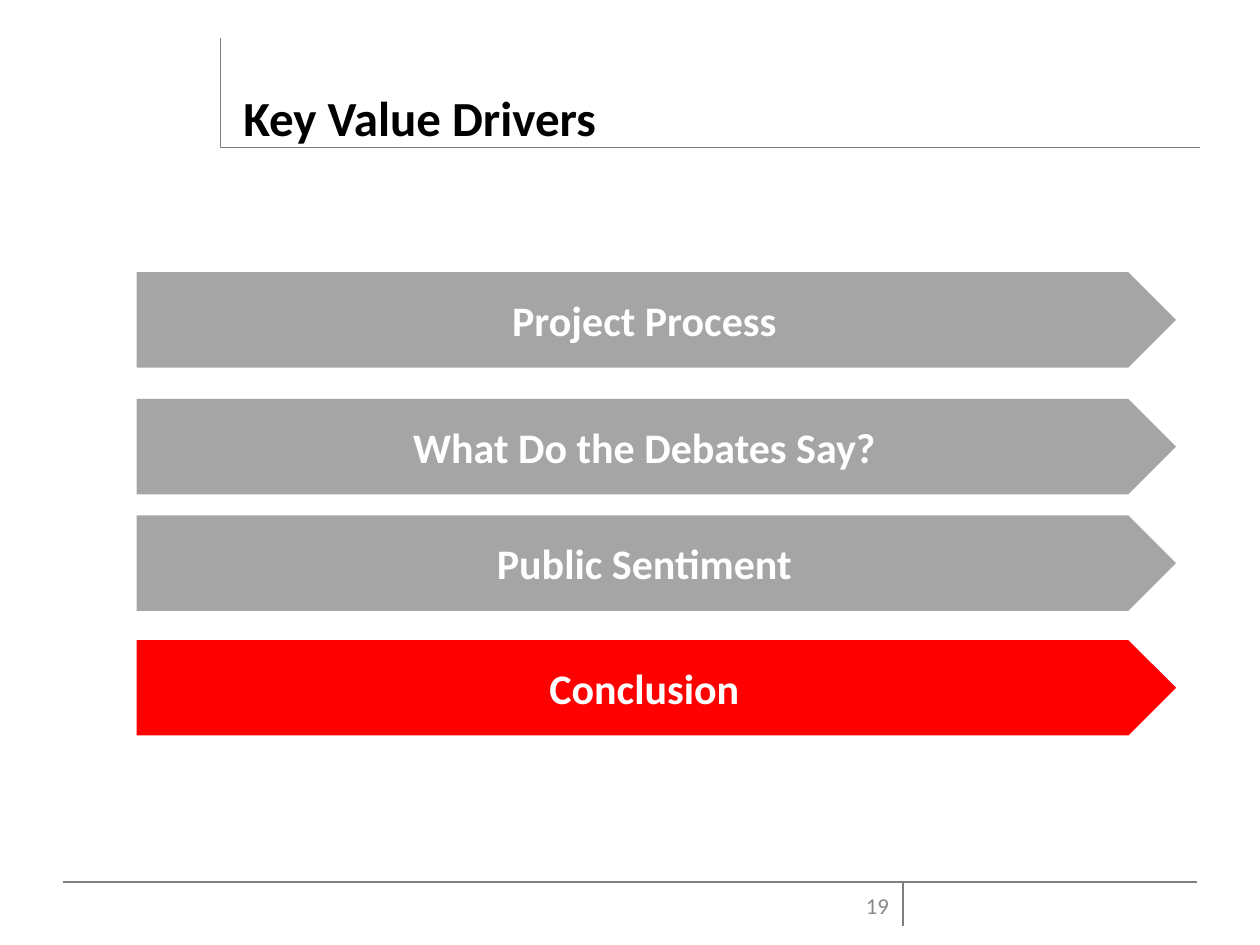
"""Build the Key Value Drivers agenda slide with its conclusion highlighted."""
from lxml import etree
from pptx import Presentation
from pptx.dml.color import RGBColor
from pptx.enum import shapes, text
from pptx.oxml.ns import qn
from pptx.util import Pt

HEADING = "Key Value Drivers"
PAGE_NUMBER = "19"
CURRENT = "Conclusion"
AGENDA = [
    ("Project Process", 155.5),
    ("What Do the Debates Say?", 228),
    ("Public Sentiment", 294.5),
    (CURRENT, 365.75),
]
RULES = [
    (126, 21.6, 126, 84.4),
    (126, 84.4, 685.5, 84.4),
    (36, 504, 684, 504),
    (516, 504, 516, 529),
]
ARROW_LEFT, ARROW_WIDTH, ARROW_HEIGHT = 78, 594, 54.5
THEME = {
    "font": "Calibri",
    "heading": "000000", "label": "FFFFFF", "number": "888888",
    "rule": "7F7F7F", "muted": "A5A5A5", "active": "FF0000",
    "heading_size": 28, "label_size": 24, "number_size": 13,
}


def color(role):
    return RGBColor.from_string(THEME[role])


def write(holder, wording, *, role, align, bold=True):
    frame = holder.text_frame
    frame.word_wrap = True
    frame.vertical_anchor = text.MSO_ANCHOR.MIDDLE
    line = frame.paragraphs[0]
    line.alignment = align
    run = line.add_run()
    run.text = wording
    run.font.name = THEME["font"]
    run.font.size = Pt(THEME[f"{role}_size"])
    run.font.bold = bold
    run.font.color.rgb = color(role)


def add_rule(slide, ends):
    rule = slide.shapes.add_connector(shapes.MSO_CONNECTOR.STRAIGHT, *map(Pt, ends))
    rule.line.color.rgb = color("rule")
    rule.line.width = Pt(0.75)
    etree.SubElement(rule._element.spPr, qn("a:effectLst"))


def add_arrow(slide, label, top):
    arrow = slide.shapes.add_shape(
        shapes.MSO_SHAPE.PENTAGON,
        *map(Pt, (ARROW_LEFT, top, ARROW_WIDTH, ARROW_HEIGHT)))
    arrow.shadow.inherit = False
    arrow.fill.solid()
    arrow.fill.fore_color.rgb = color("active" if label == CURRENT else "muted")
    arrow.line.fill.background()
    write(arrow, label, role="label", align=text.PP_ALIGN.CENTER)


def main():
    deck = Presentation()
    deck.slide_width, deck.slide_height = Pt(720), Pt(540)
    slide = deck.slides.add_slide(deck.slide_layouts[6])
    for ends in RULES:
        add_rule(slide, ends)
    heading = slide.shapes.add_textbox(*map(Pt, (132, 21.6, 552, 90)))
    write(heading, HEADING, role="heading", align=text.PP_ALIGN.LEFT)
    number = slide.shapes.add_textbox(*map(Pt, (474, 502.75, 41, 28.75)))
    write(number, PAGE_NUMBER, role="number", align=text.PP_ALIGN.RIGHT, bold=False)
    for label, top in AGENDA:
        add_arrow(slide, label, top)
    deck.save("out.pptx")


if __name__ == "__main__":
    main()
